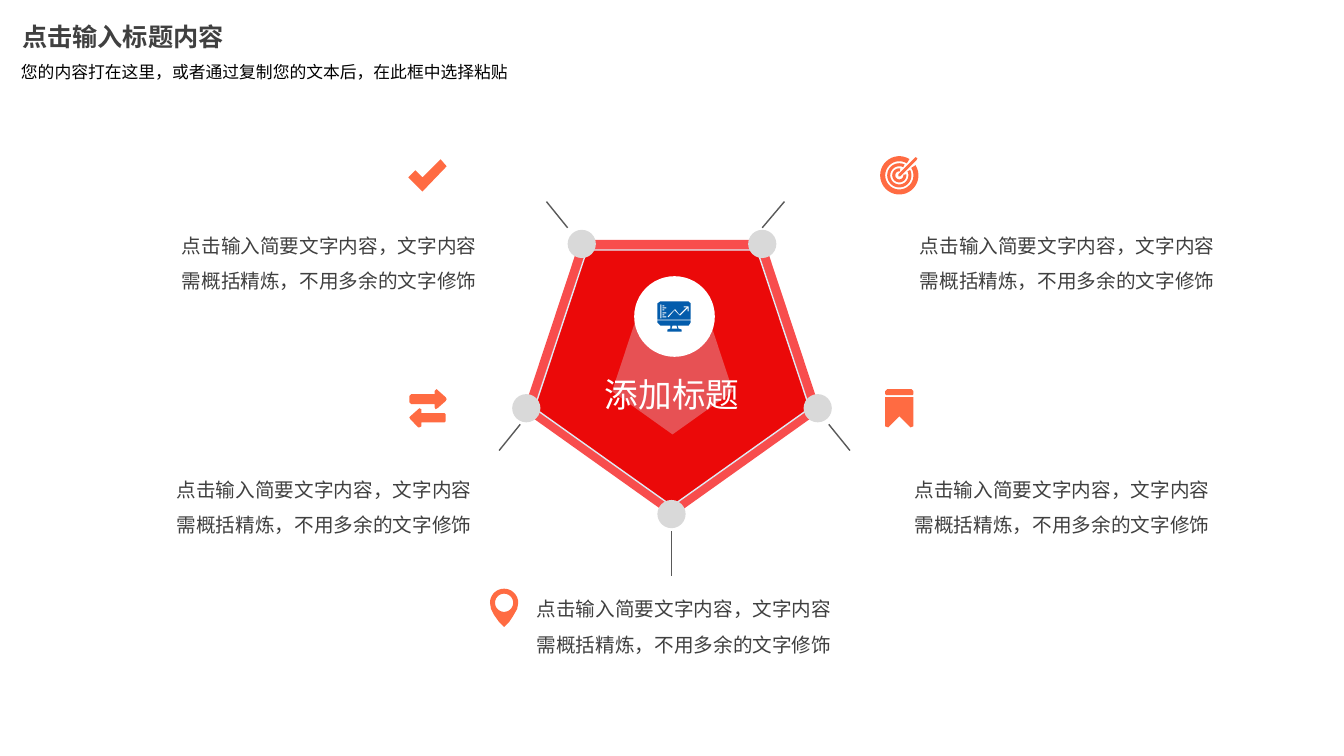
from math import cos, radians, sin

from lxml import etree
from pptx import Presentation
from pptx.dml.color import RGBColor
from pptx.enum.shapes import MSO_CONNECTOR, MSO_SHAPE
from pptx.enum.text import MSO_ANCHOR, PP_ALIGN
from pptx.oxml.ns import qn
from pptx.util import Pt

PENTAGON, OVAL = MSO_SHAPE.REGULAR_PENTAGON, MSO_SHAPE.OVAL
LINE = MSO_CONNECTOR.STRAIGHT
LEFT, CENTER = PP_ALIGN.LEFT, PP_ALIGN.CENTER
TOP, MIDDLE = MSO_ANCHOR.TOP, MSO_ANCHOR.MIDDLE
CORAL = RGBColor(0xF8, 0x4D, 0x4D)
RED = RGBColor(0xEB, 0x09, 0x09)
PALE = RGBColor(0xDF, 0xEB, 0xF5)
WHITE = RGBColor(0xFF, 0xFF, 0xFF)
BLUE = RGBColor(0x03, 0x5C, 0xAC)
SILVER = RGBColor(0xD9, 0xD9, 0xD9)
ORANGE = RGBColor(0xFF, 0x6B, 0x42)
GRAY = RGBColor(0x59, 0x59, 0x59)
DARK = RGBColor(0x40, 0x40, 0x40)
BLACK = RGBColor(0, 0, 0)
FONT = "Noto Sans CJK SC"
PX = 9144

deck = Presentation()
deck.slide_width, deck.slide_height = 1333 * PX, 750 * PX
slide = deck.slides.add_slide(deck.slide_layouts[6])
shapes = slide.shapes


def write(text, box, size, color, bold=False, align=CENTER, anchor=TOP, inset=(0, 0), spacing=None):
    frame = shapes.add_textbox(*[n * PX for n in box]).text_frame
    frame.word_wrap = True
    frame.vertical_anchor = anchor
    frame.margin_left = frame.margin_right = inset[0] * PX
    frame.margin_top = frame.margin_bottom = inset[1] * PX
    para = frame.paragraphs[0]
    para.alignment = align
    para.line_spacing = spacing
    run = para.add_run()
    run.text = text
    run.font.size, run.font.bold, run.font.name = Pt(size), bold, FONT
    run.font.color.rgb = color
    etree.SubElement(run._r.get_or_add_rPr(), qn("a:ea")).set("typeface", FONT)


def draw(color, loops):
    pen = None
    for loop in loops:
        first, *rest = [(x * PX, y * PX) for x, y in loop]
        if pen is None:
            pen = shapes.build_freeform(*first)
        else:
            pen.move_to(*first)
        pen.add_line_segments(rest, close=True)
    icon = pen.convert_to_shape()
    icon.shadow.inherit = False
    icon.fill.solid()
    icon.fill.fore_color.rgb = color
    icon.line.fill.background()


dots = [(563, 228), (508, 391), (652, 496), (797, 391), (742, 228)]
parts = [
    (PENTAGON, (519, 238, 295, 275), CORAL, None),
    (PENTAGON, (530, 248, 273, 254), RED, PALE),
    (PENTAGON, (607, 319, 120, 112), PALE, None),
    (OVAL, (629, 274, 80, 80), WHITE, None),
]
parts += [(OVAL, (x, y, 28, 28), SILVER, None) for x, y in dots]
for kind, box, color, edge in parts:
    part = shapes.add_shape(kind, *[n * PX for n in box])
    part.shadow.inherit = False
    part.fill.solid()
    part.fill.fore_color.rgb = color
    if kind == PENTAGON:
        part.rotation = 180
    if edge:
        part.line.color.rgb = edge
        part.line.width = Pt(1)
    else:
        part.line.fill.background()
    if color == PALE:
        tint = part.fill._xPr.find(".//" + qn("a:srgbClr"))
        etree.SubElement(tint, qn("a:alpha")).set("val", "32000")

bars = [(655, 302, 656, 316)]
bars += [(657, y, 661 - 2 * (n % 2), y + 1) for n, y in enumerate((314, 312, 310, 307, 305, 303))]
screen = [
    [(655, 299), (683, 299), (685, 301), (685, 317), (652, 317), (652, 301)],
    [(652, 318), (685, 318), (685, 320), (683, 323), (672, 323), (673, 326), (676, 327),
     (676, 329), (662, 329), (662, 327), (665, 326), (665, 323), (655, 323), (652, 320)],
    [(667, 323), (666, 326), (672, 326), (671, 323)],
    [(662, 314), (669, 307), (670, 307), (674, 312), (681, 305), (678, 305), (678, 304),
     (683, 304), (683, 309), (682, 309), (682, 306), (675, 313), (674, 313), (669, 308),
     (663, 315)],
]
draw(BLUE, screen + [[(l, t), (r, t), (r, b), (l, b)] for l, t, r, b in bars])

draw(ORANGE, [[(437, 158), (419, 176), (412, 169), (405, 176), (419, 190), (443, 165)]])

dome = [(500 + 14 * cos(radians(a)), 598 + 14 * sin(radians(a))) for a in range(180, 361, 10)]
hole = [(500 + 9 * cos(radians(a)), 598 + 9 * sin(radians(a))) for a in range(0, 360, 10)]
tail = [(513, 604), (509, 611), (505, 617), (501, 621), (500, 622), (499, 621),
        (495, 617), (490, 610), (487, 604)]
draw(ORANGE, [dome + tail, hole])

target = [[(907, 157), (908, 156), (910, 157), (909, 159), (893, 175), (891, 175), (891, 173)]]
for outer, inner, start, end in ((19, 14, -32, 302), (12, 9, -26, 296), (7, 4, -8, 278)):
    sweep = [start + (end - start) * n / 36 for n in range(37)]
    edge = [(outer, a) for a in sweep] + [(inner, a) for a in reversed(sweep)]
    target.append([(892 + r * cos(radians(a)), 174 + r * sin(radians(a))) for r, a in edge])
draw(ORANGE, target)

draw(ORANGE, [
    [(433, 386), (442, 394), (443, 396), (442, 398), (434, 405), (432, 406), (431, 404),
     (431, 401), (408, 401), (406, 399), (406, 393), (408, 391), (431, 391), (431, 388)],
    [(416, 405), (418, 406), (418, 410), (441, 410), (442, 411), (442, 418), (441, 419),
     (418, 419), (418, 423), (416, 424), (415, 424), (407, 416), (406, 414), (407, 413)],
])

draw(ORANGE, [
    [(878, 394), (906, 394), (906, 423), (903, 424), (892, 413), (881, 424), (878, 423)],
    [(880, 386), (904, 386), (906, 388), (906, 391), (905, 392), (879, 392), (878, 391),
     (878, 388)],
])

spokes = [(542, 200, 563, 226), (778, 200, 756, 226), (495, 447, 516, 421),
          (843, 447, 822, 421), (666, 571, 666, 527)]
for ends in spokes:
    spoke = shapes.add_connector(LINE, *[n * PX for n in ends])
    spoke.line.color.rgb = GRAY
    spoke.line.width = Pt(1)
    etree.SubElement(spoke._element.spPr, qn("a:effectLst"))

for x, y in ((911, 220), (906, 462), (179, 220), (174, 462), (531, 581)):
    write("点击输入简要文字内容，文字内容需概括精炼，不用多余的文字修饰",
          (x, y, 295, 67), 14, DARK, spacing=1.5)
write("添加标题", (577, 371, 179, 40), 24, WHITE)
write("点击输入标题内容", (22, 15, 233, 42), 18, DARK, bold=True, align=LEFT,
      anchor=MIDDLE, inset=(0, 5))
write("您的内容打在这里，或者通过复制您的文本后，在此框中选择粘贴",
      (11, 56, 667, 30), 12, BLACK, align=LEFT, inset=(10, 5))

deck.save("out.pptx")
